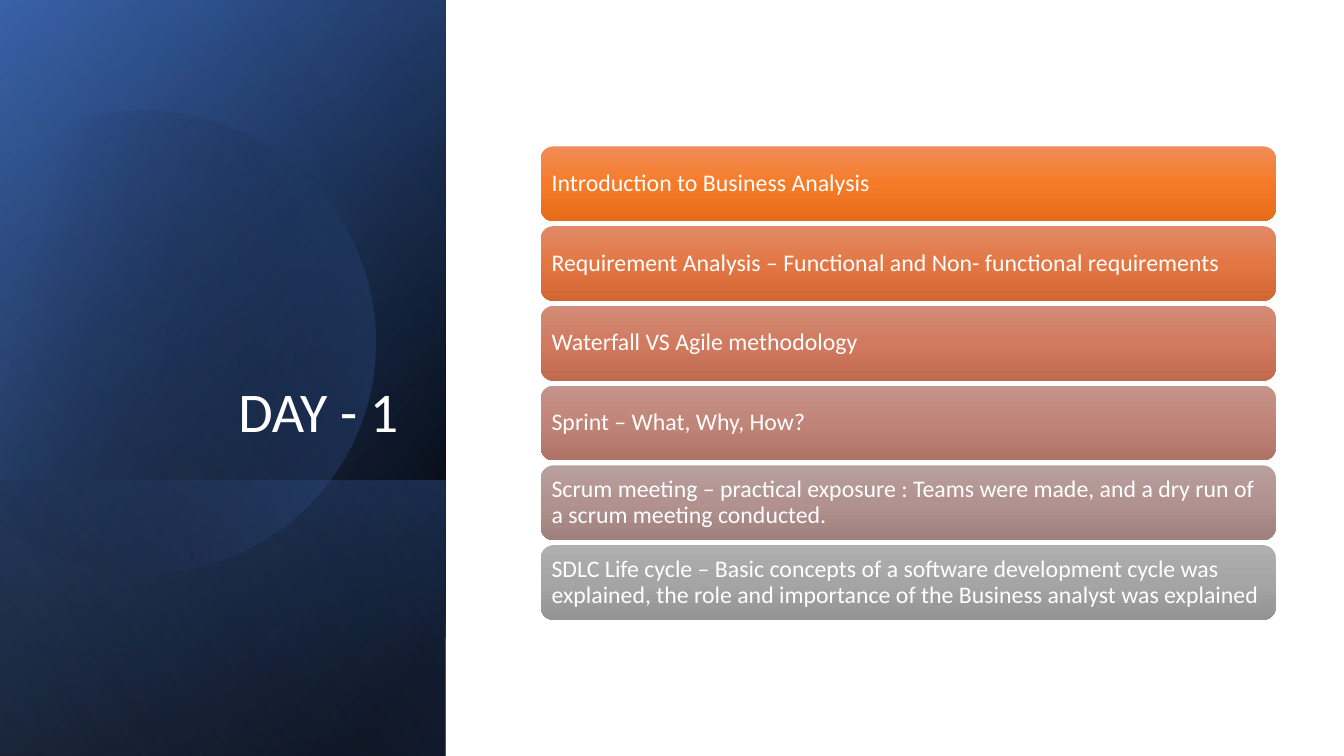
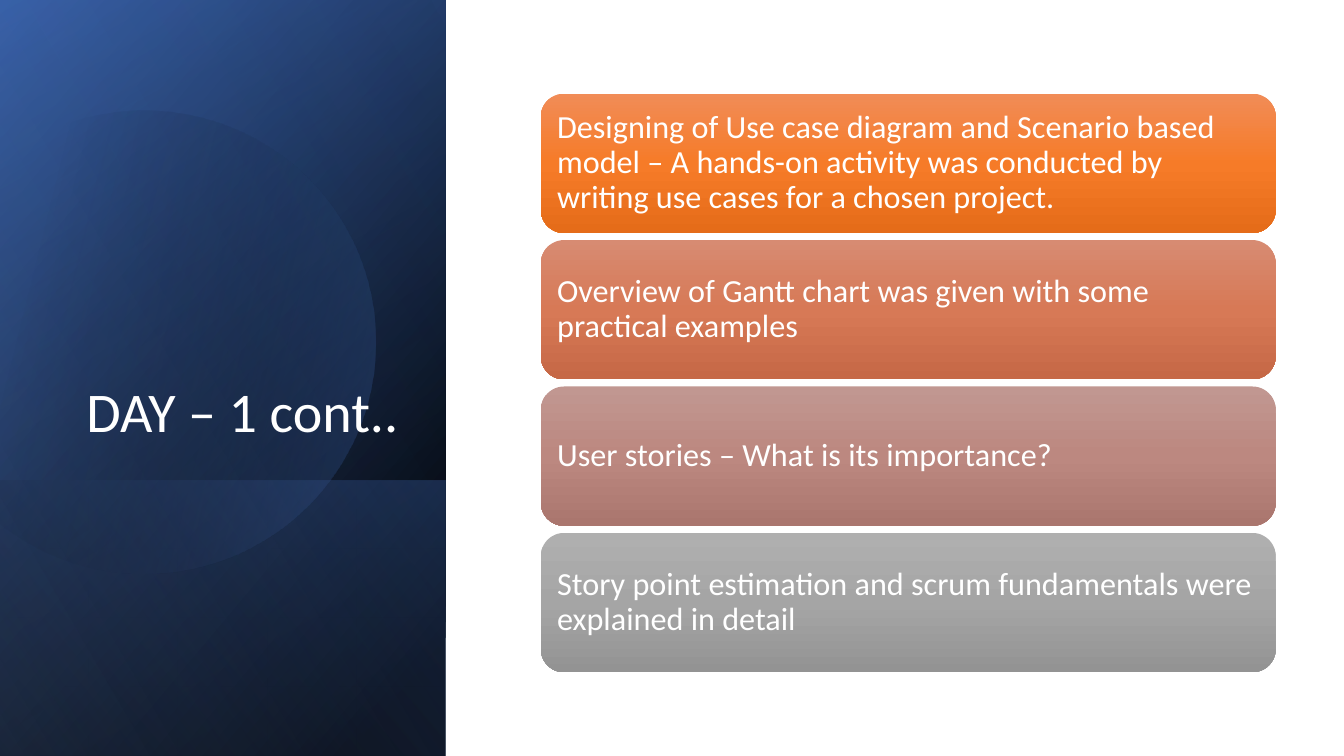
from math import cos, radians, sin

from pptx import Presentation
from pptx.dml.color import RGBColor
from pptx.enum import shapes, text
from pptx.oxml import parse_xml
from pptx.oxml.ns import nsdecls, qn
from pptx.util import Cm, Pt

FONT = "Calibri"
WHITE = RGBColor(0xFF, 0xFF, 0xFF)
BLACK = RGBColor(0x00, 0x00, 0x00)
NAVY = RGBColor(0x2F, 0x55, 0x97)
BLUE = RGBColor(0x44, 0x72, 0xC4)
PALE_BLUE = RGBColor(0x8F, 0xAA, 0xDC)


def tint(*codes):
    return [RGBColor.from_string(code) for code in codes]


ORANGE = tint("F18C57", "F67B28", "E56C19")
RUST = tint("E18A66", "E37744", "D26734")
CORAL = tint("D78B72", "D77956", "C66846")
CLAY = tint("D28C78", "D17A5F", "C06A4E")
ROSE = tint("C5948B", "C18478", "AF7267")
DUSTY_ROSE = tint("C19791", "BC8880", "AA766E")
MAUVE = tint("B9A09D", "B2928F", "A0807D")
GREY = tint("AFAFAF", "A5A5A5", "939393")

DAYS = [
    {
        "title": "DAY - 1",
        "top": 3.69, "height": 1.88, "pitch": 2.01, "size": 17, "inset": 0.18,
        "topics": [
            ("Introduction to Business Analysis", ORANGE),
            ("Requirement Analysis – Functional and Non- functional requirements", RUST),
            ("Waterfall VS Agile methodology", CLAY),
            ("Sprint – What, Why, How?", ROSE),
            ("Scrum meeting – practical exposure : Teams were made, and a dry run of "
             "a scrum meeting conducted.", MAUVE),
            ("SDLC Life cycle – Basic concepts of a software development cycle was "
             "explained, the role and importance of the Business analyst was explained", GREY),
        ],
    },
    {
        "title": "DAY – 1 cont..",
        "top": 2.36, "height": 3.51, "pitch": 3.69, "size": 23, "inset": 0.24,
        "topics": [
            ("Designing of Use case diagram and Scenario based model – A hands-on activity "
             "was conducted by writing use cases for a chosen project.", ORANGE),
            ("Overview of Gantt chart was given with some practical examples", CORAL),
            ("User stories – What is its importance?", DUSTY_ROSE),
            ("Story point estimation and scrum fundamentals were explained in detail", GREY),
        ],
    },
]

SLIDE_W, SLIDE_H = 33.87, 19.05
PANEL_W = 11.23
LOWER_H = 6.95
CARD_LEFT, CARD_W = 13.63, 18.52
TITLE_BOX = {"left": Cm(1.63), "top": Cm(4.67), "width": Cm(8.66), "height": Cm(6.65)}
DISC = {"x": 3.61, "y": 8.51, "radius": 5.84, "start": -118, "end": 150, "rotation": 343.9}

BASE = (SLIDE_H, 50, [(8, BLACK, 100), (100, NAVY, 100)])
GLOW = (SLIDE_H, 30, [(0, BLACK, 0), (99, BLUE, 46)])
LOWER = (LOWER_H, 130, [(2, BLUE, 29), (100, BLACK, 30)])
SHEEN = (SLIDE_H, 120, [(0, BLACK, 0), (99, PALE_BLUE, 11)])
DISC_STOPS = [(29, BLACK, 0), (100, BLUE, 43)]


def apply(target, values):
    for name, value in values.items():
        setattr(target, name, value)


def paint(shape, angle, stops):
    shape.shadow.inherit = False
    shape.line.fill.background()
    shape.fill.background()
    marks = "".join(
        f'<a:gs pos="{position * 1000}"><a:srgbClr val="{colour}">'
        f'<a:alpha val="{alpha * 1000}"/></a:srgbClr></a:gs>'
        for position, colour, alpha in stops
    )
    gradient = parse_xml(
        f'<a:gradFill {nsdecls("a")} rotWithShape="1"><a:gsLst>{marks}</a:gsLst>'
        f'<a:lin ang="{angle * 60000}" scaled="0"/></a:gradFill>'
    )
    properties = shape.element.spPr
    properties.replace(properties.find(qn("a:noFill")), gradient)


def add_panel(slide, height, angle, stops):
    panel = slide.shapes.add_shape(
        shapes.MSO_SHAPE.RECTANGLE,
        Cm((PANEL_W - height) / 2), Cm(SLIDE_H - height / 2 - PANEL_W / 2),
        Cm(height), Cm(PANEL_W),
    )
    panel.rotation = 90
    panel.element.spPr.find(qn("a:xfrm")).set("flipH", "1")
    paint(panel, angle, stops)


def add_disc(slide):
    start, end, radius = DISC["start"], DISC["end"], DISC["radius"]
    rim = [
        (Cm(DISC["x"] + radius * cos(radians(degree))),
         Cm(DISC["y"] + radius * sin(radians(degree))))
        for degree in (start, -90, 0, 90, end)
    ]
    outline = slide.shapes.build_freeform(*rim[0])
    outline.add_line_segments(rim[1:], close=True)
    disc = outline.convert_to_shape()
    disc.rotation = DISC["rotation"]
    chords = list(disc.element.spPr.iter(qn("a:lnTo")))
    chords[0].addprevious(parse_xml(
        f'<a:arcTo {nsdecls("a")} wR="{Cm(radius)}" hR="{Cm(radius)}" '
        f'stAng="{start % 360 * 60000}" swAng="{(end - start) * 60000}"/>'
    ))
    for chord in chords:
        chord.getparent().remove(chord)
    paint(disc, 30, DISC_STOPS)


def write(frame, words, size, alignment):
    frame.word_wrap = True
    paragraph = frame.paragraphs[0]
    apply(paragraph, {"alignment": alignment, "line_spacing": 0.9})
    run = paragraph.add_run()
    run.text = words
    apply(run.font, {"name": FONT, "size": Pt(size)})
    run.font.color.rgb = WHITE


def add_title(slide, words):
    title = slide.shapes.title
    slide.shapes.element.append(title.element)
    apply(title, TITLE_BOX)
    apply(title.text_frame, {"vertical_anchor": text.MSO_ANCHOR.BOTTOM,
                             "auto_size": text.MSO_AUTO_SIZE.NONE})
    write(title.text_frame, words, 40, text.PP_ALIGN.RIGHT)


def add_cards(slide, day):
    margins = dict.fromkeys(
        ("margin_left", "margin_right", "margin_top", "margin_bottom"), Cm(day["inset"])
    )
    for row, (topic, colours) in enumerate(day["topics"]):
        card = slide.shapes.add_shape(
            shapes.MSO_SHAPE.ROUNDED_RECTANGLE,
            Cm(CARD_LEFT), Cm(day["top"] + row * day["pitch"]),
            Cm(CARD_W), Cm(day["height"]),
        )
        paint(card, 90, [(50 * i, colour, 100) for i, colour in enumerate(colours)])
        apply(card.text_frame, {"vertical_anchor": text.MSO_ANCHOR.MIDDLE, **margins})
        write(card.text_frame, topic, day["size"], text.PP_ALIGN.LEFT)


def main():
    deck = Presentation()
    apply(deck, {"slide_width": Cm(SLIDE_W), "slide_height": Cm(SLIDE_H)})
    for day in DAYS:
        slide = deck.slides.add_slide(deck.slide_layouts[5])
        for panel in (BASE, GLOW, LOWER):
            add_panel(slide, *panel)
        add_disc(slide)
        add_panel(slide, *SHEEN)
        add_title(slide, day["title"])
        add_cards(slide, day)
    deck.save("out.pptx")


if __name__ == "__main__":
    main()
